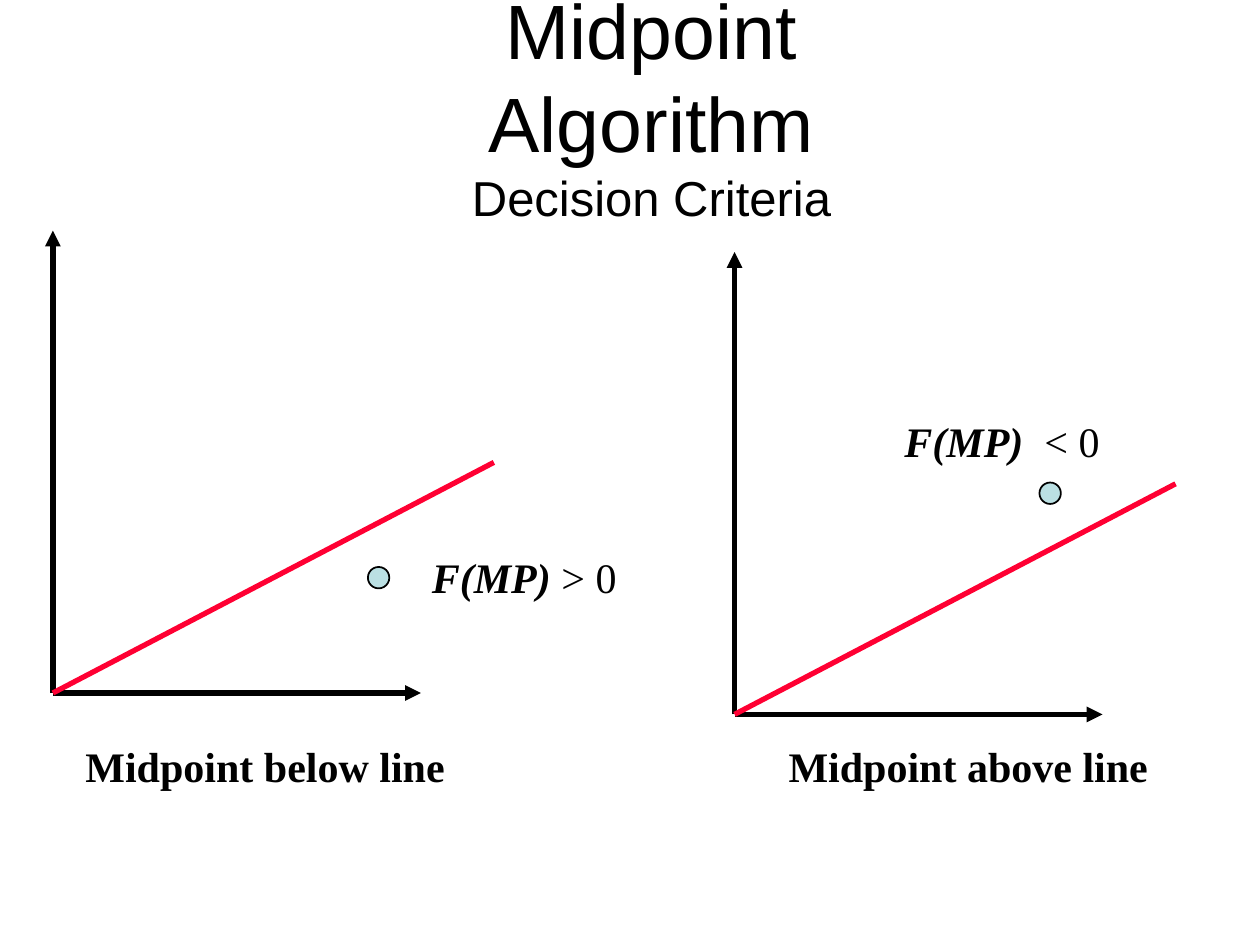
from lxml import etree
from pptx import Presentation
from pptx.dml.color import RGBColor
from pptx.enum.shapes import MSO_CONNECTOR, MSO_SHAPE
from pptx.enum.text import MSO_ANCHOR, MSO_AUTO_SIZE, PP_ALIGN
from pptx.oxml.ns import qn
from pptx.util import Inches, Pt

STRAIGHT = MSO_CONNECTOR.STRAIGHT
OVAL = MSO_SHAPE.OVAL
TOP, MIDDLE = MSO_ANCHOR.TOP, MSO_ANCHOR.MIDDLE
LEFT, CENTER = PP_ALIGN.LEFT, PP_ALIGN.CENTER
GROW, FIXED = MSO_AUTO_SIZE.SHAPE_TO_FIT_TEXT, MSO_AUTO_SIZE.NONE

BLACK = RGBColor(0x00, 0x00, 0x00)
RED = RGBColor(0xFF, 0x00, 0x33)
PALE_BLUE = RGBColor(0xBB, 0xE0, 0xE3)

AXIS_WIDTH, AXIS_HEIGHT = 2.92, 3.67
LINE_RUN, LINE_RISE = 3.5, 1.83
POINT_SIZE = 0.17


def format_run(run, size=24, font="Times New Roman", bold=False, italic=False):
    run.font.size = Pt(size)
    run.font.name = font
    run.font.bold = bold
    run.font.italic = italic
    run.font.color.rgb = BLACK


def add_text(slide, box, runs, wrap=True, align=LEFT, anchor=TOP, auto_size=GROW):
    """Add a one-paragraph text box; runs are (text, format) pairs, "\n" breaks the line."""
    frame = slide.shapes.add_textbox(*map(Inches, box)).text_frame
    frame.word_wrap = wrap
    frame.auto_size = auto_size
    frame.vertical_anchor = anchor
    paragraph = frame.paragraphs[0]
    paragraph.alignment = align
    for text, style in runs:
        if text == "\n":
            paragraph.add_line_break()
            continue
        run = paragraph.add_run()
        run.text = text
        format_run(run, **style)


def add_line(slide, start, end, color=BLACK, arrow=False):
    connector = slide.shapes.add_connector(STRAIGHT, *map(Inches, start + end))
    connector.line.color.rgb = color
    connector.line.width = Pt(3)
    if arrow:
        outline = connector.line._get_or_add_ln()
        etree.SubElement(outline, qn("a:tailEnd"), type="triangle")
    etree.SubElement(connector._element.spPr, qn("a:effectLst"))


def add_point(slide, left, top):
    shape = slide.shapes.add_shape(
        OVAL, Inches(left), Inches(top), Inches(POINT_SIZE), Inches(POINT_SIZE))
    shape.shadow.inherit = False
    shape.fill.solid()
    shape.fill.fore_color.rgb = PALE_BLUE
    shape.line.color.rgb = BLACK
    shape.line.width = Pt(1)


def add_graph(slide, origin, point, label_box, label, sign, caption_left, caption):
    x, y = origin
    # Axes and the ideal line
    add_line(slide, origin, (x + AXIS_WIDTH, y), arrow=True)
    add_line(slide, origin, (x, y - AXIS_HEIGHT), arrow=True)
    add_line(slide, origin, (x + LINE_RUN, y - LINE_RISE), color=RED)
    # Midpoint with its decision value
    add_point(slide, *point)
    add_text(slide, label_box, [(label, dict(bold=True, italic=True)), (sign, {})])
    # Caption
    add_text(slide, (caption_left, 5.83, 3.05, 0.5),
             [(caption, dict(bold=True))], wrap=False)


def main():
    presentation = Presentation()
    presentation.slide_width = Inches(10)
    presentation.slide_height = Inches(7.5)
    slide = presentation.slides.add_slide(presentation.slide_layouts[6])

    # Title
    add_text(slide, (2.67, 0.33, 5, 1),
             [("Midpoint Algorithm", dict(size=44, font="Arial")),
              ("\n", {}),
              ("Decision Criteria", dict(size=28, font="Arial"))],
             align=CENTER, anchor=MIDDLE, auto_size=FIXED)

    # Midpoint below and above the line
    add_graph(slide, (0.42, 5.5), (2.92, 4.5), (3.33, 4.33, 1.83, 0.5),
              "F(MP) ", "> 0", 0.58, "Midpoint below line")
    add_graph(slide, (5.83, 5.67), (8.25, 3.83), (7.08, 3.25, 1.75, 0.5),
              "F(MP)  ", "< 0", 6.16, "Midpoint above line")

    presentation.save("out.pptx")


if __name__ == "__main__":
    main()
